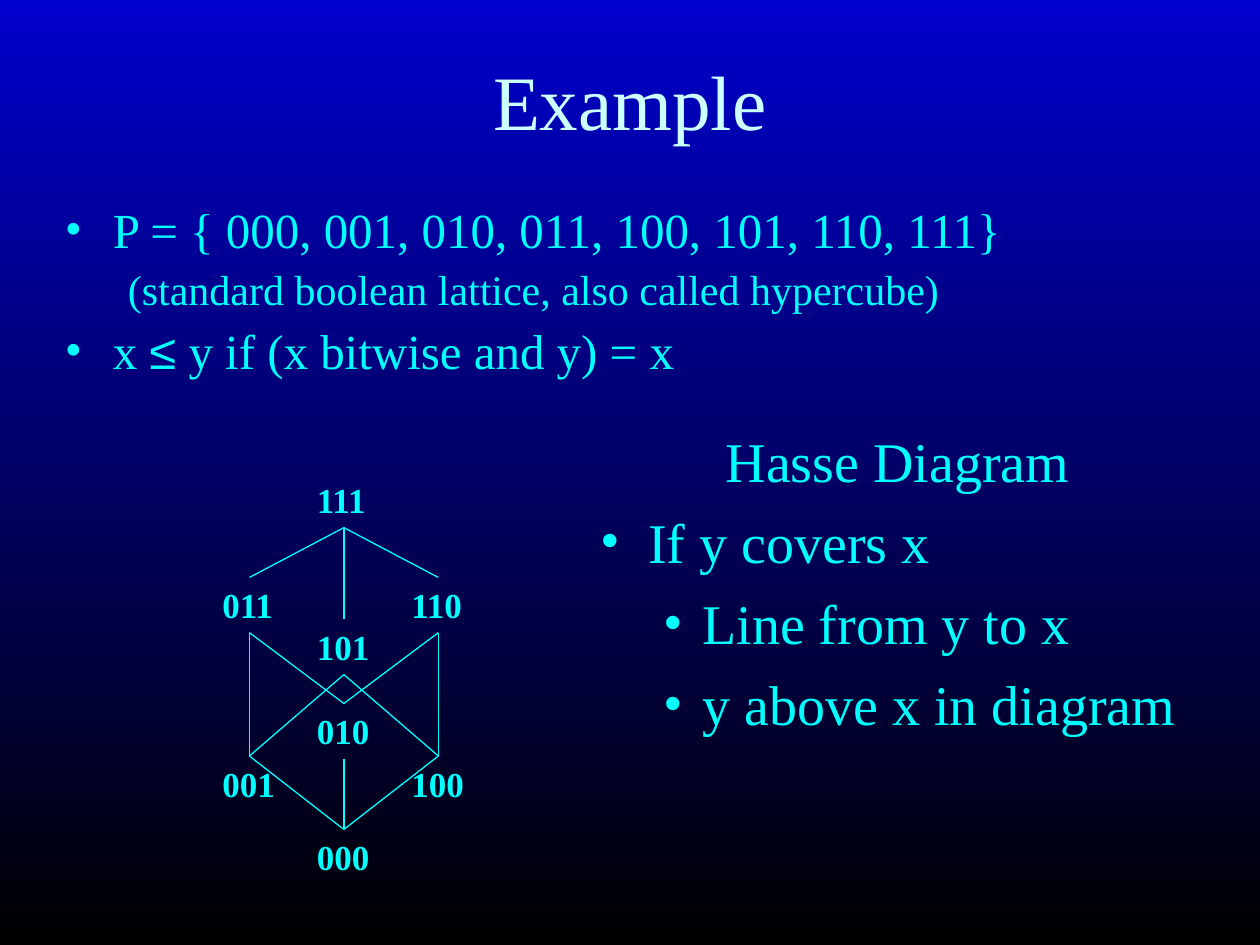
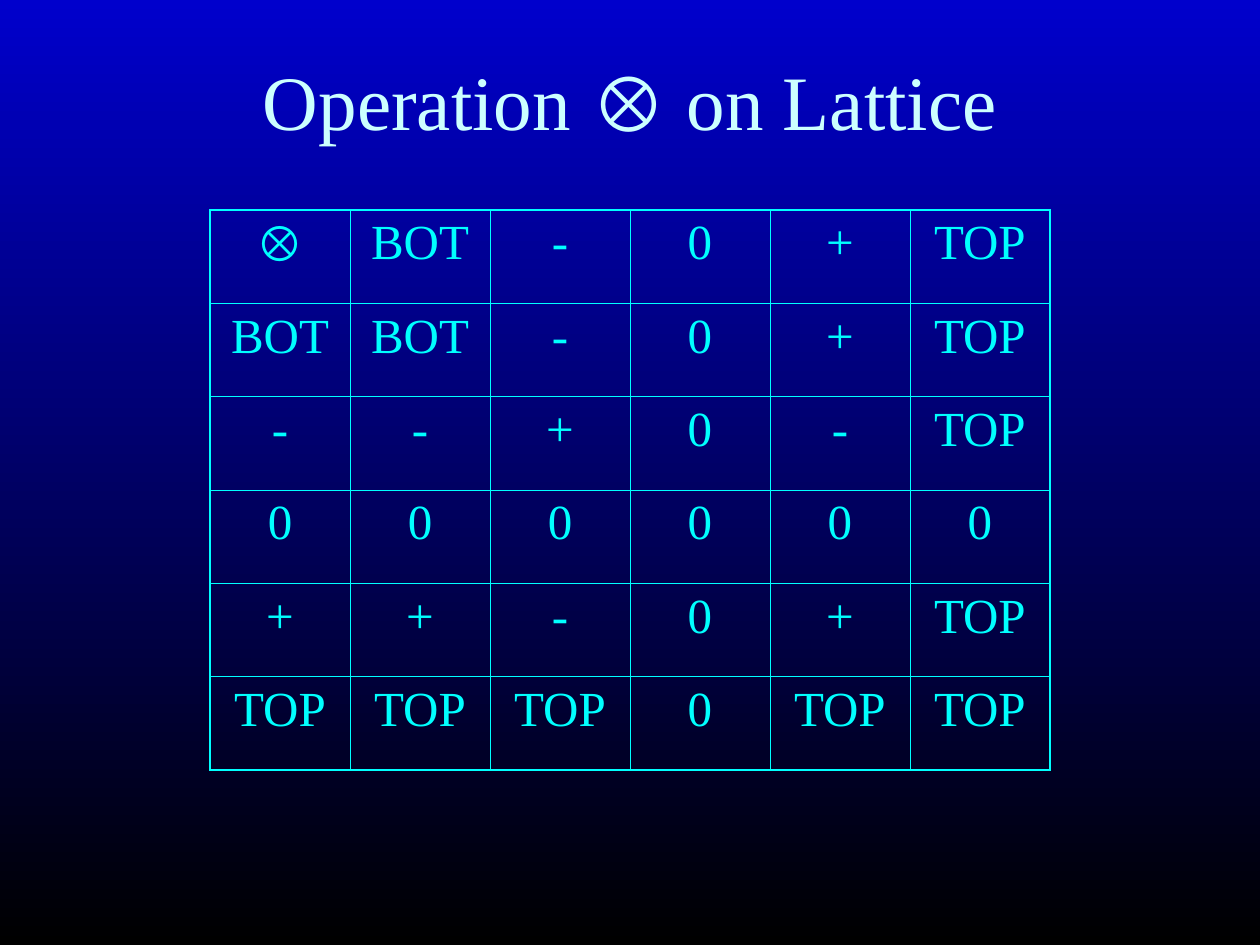
from collections import namedtuple
from itertools import groupby

from lxml import etree
from pptx import Presentation
from pptx import util as u
from pptx.dml.color import RGBColor
from pptx.enum import shapes, text
from pptx.oxml.ns import qn

SKY = RGBColor(0x00, 0x00, 0xCC)
NIGHT = RGBColor(0x00, 0x00, 0x00)
CYAN = RGBColor(0x00, 0xFF, 0xFF)
PALE = RGBColor(0xCC, 0xFF, 0xFF)
FONT, SYMBOL_FONT = "Times New Roman", "Arial"
SYMBOLS = "≤⊗"

WIDTH, HEIGHT = u.Inches(10), u.Inches(7.5)
COLUMNS, ROWS = 120, 90
COLUMN, ROW = WIDTH / COLUMNS, HEIGHT / ROWS

Box = namedtuple("Box", "left top width height")
Item = namedtuple("Item", "words size level bullet align", defaults=(0, True, None))

TITLE_BOX = Box(5, 2, 110, 15)
DEFINITION_BOX = Box(5, 19, 110, 18)
LATTICE_BOX = Box(20, 45, 25.5, 39.25)
RULES_BOX = Box(56, 40, 59, 18)
TABLE_BOX = Box(20, 20, 80, 53.33)

INDENTS = [(0.38, -0.38), (0.81, -0.31)]

DEFINITION = [
    Item("P = { 000, 001, 010, 011, 100, 101, 110, 111}", 28),
    Item("(standard boolean lattice, also called hypercube)", 24, 1, False),
    Item("x ≤ y if (x bitwise and y) = x", 28),
]
RULES = [
    Item("Hasse Diagram", 32, 0, False, text.PP_ALIGN.CENTER),
    Item("If y covers x", 32),
    Item("Line from y to x", 32, 1),
    Item("y above x in diagram", 32, 1),
]

NODE_WIDTH, NODE_HEIGHT, NODE_STEP = 7.5, 5.25, 9
NODES = {
    "111": (1, 0), "011": (0, 10), "101": (1, 14), "110": (2, 10),
    "010": (1, 22), "001": (0, 27), "100": (2, 27), "000": (1, 34),
}
TOP, BOTTOM = 0, 2
COVERS = [
    ("111", BOTTOM, ["011", "101", "110"]),
    ("011", BOTTOM, ["001", "010"]),
    ("110", BOTTOM, ["100", "010"]),
    ("101", BOTTOM, ["100", "001"]),
    ("010", BOTTOM, ["000"]),
    ("001", TOP, ["000"]),
    ("100", TOP, ["000"]),
]

OPERATION = [
    ["⊗", "BOT", "-", "0", "+", "TOP"],
    ["BOT", "BOT", "-", "0", "+", "TOP"],
    ["-", "-", "+", "0", "-", "TOP"],
    ["0", "0", "0", "0", "0", "0"],
    ["+", "+", "-", "0", "+", "TOP"],
    ["TOP", "TOP", "TOP", "0", "TOP", "TOP"],
]


def place(box):
    return (round(box.left * COLUMN), round(box.top * ROW),
            round(box.width * COLUMN), round(box.height * ROW))


def write(para, words, size, color=CYAN, bold=False):
    for is_symbol, letters in groupby(words, lambda letter: letter in SYMBOLS):
        span = para.add_run()
        span.text = "".join(letters)
        span.font.name = SYMBOL_FONT if is_symbol else FONT
        span.font.size = u.Pt(size)
        span.font.bold = bold
        span.font.color.rgb = color


def add_color(parent, tag, color):
    holder = etree.SubElement(parent, qn(tag))
    etree.SubElement(holder, qn("a:srgbClr"), val=str(color))


def set_bullet(para, level, shown):
    props = para._p.get_or_add_pPr()
    margin, hanging = INDENTS[level]
    props.set("marL", str(u.Inches(margin)))
    props.set("indent", str(u.Inches(hanging)))
    if shown:
        add_color(props, "a:buClr", CYAN)
        etree.SubElement(props, qn("a:buFont"), typeface=FONT)
        etree.SubElement(props, qn("a:buChar"), char="•")
    else:
        etree.SubElement(props, qn("a:buNone"))


def add_text(slide, box, wrap=True):
    frame = slide.shapes.add_textbox(*place(box)).text_frame
    frame.word_wrap = wrap
    return frame


def add_title(slide, box, words):
    frame = add_text(slide, box)
    frame.vertical_anchor = text.MSO_ANCHOR.MIDDLE
    para = frame.paragraphs[0]
    para.alignment = text.PP_ALIGN.CENTER
    write(para, words, 44, PALE)


def add_list(slide, box, items, line_spacing=1.0):
    frame = add_text(slide, box)
    for index, item in enumerate(items):
        para = frame.add_paragraph() if index else frame.paragraphs[0]
        para.level = item.level
        para.alignment = item.align
        para.line_spacing = line_spacing
        para.space_before = u.Pt(item.size // 4)
        set_bullet(para, item.level, item.bullet)
        write(para, item.words, item.size)


def add_node(slide, box, name):
    frame = add_text(slide, box, wrap=False)
    frame.auto_size = text.MSO_AUTO_SIZE.SHAPE_TO_FIT_TEXT
    write(frame.paragraphs[0], name, 20, bold=True)
    return slide.shapes[-1]


def add_edge(slide, upper, side, lower):
    edge = slide.shapes.add_connector(shapes.MSO_CONNECTOR.STRAIGHT, 0, 0, 0, 0)
    edge.begin_connect(upper, side)
    edge.end_connect(lower, TOP)
    edge.line.color.rgb = CYAN
    edge.line.width = u.Pt(0.75)
    etree.SubElement(edge._element.spPr, qn("a:effectLst"))


def add_lattice(slide, box):
    nodes = {}
    for name, (column, row) in NODES.items():
        node_box = Box(box.left + column * NODE_STEP, box.top + row, NODE_WIDTH, NODE_HEIGHT)
        nodes[name] = add_node(slide, node_box, name)
    for upper, side, covered in COVERS:
        for lower in covered:
            add_edge(slide, nodes[upper], side, nodes[lower])


def set_borders(cell, outer):
    props = cell._tc.get_or_add_tcPr()
    for side in "LRTB":
        weight = u.Pt(1.08 if side in outer else 0.45)
        line = etree.SubElement(props, qn(f"a:ln{side}"), w=str(weight))
        add_color(line, "a:solidFill", CYAN)
    cell.fill.background()


def add_operation_table(slide, box, values):
    rows, columns = len(values), len(values[0])
    table = slide.shapes.add_table(rows, columns, *place(box)).table
    table.first_row = table.horz_banding = False
    for r, line in enumerate(values):
        for c, value in enumerate(line):
            cell = table.cell(r, c)
            edges = {"L": c == 0, "R": c == columns - 1, "T": r == 0, "B": r == rows - 1}
            set_borders(cell, [side for side, on_edge in edges.items() if on_edge])
            para = cell.text_frame.paragraphs[0]
            para.alignment = text.PP_ALIGN.CENTER
            para.space_before = u.Pt(7)
            write(para, value, 28)


def set_background(master):
    fill = master.background.fill
    fill.gradient()
    fill.gradient_angle = 270
    for stop, color in zip(fill.gradient_stops, (SKY, NIGHT)):
        stop.color.rgb = color


def add_page(deck, title):
    page = deck.slides.add_slide(deck.slide_layouts[6])
    add_title(page, TITLE_BOX, title)
    return page


def add_example_page(deck):
    page = add_page(deck, "Example")
    add_list(page, DEFINITION_BOX, DEFINITION, 0.9)
    add_lattice(page, LATTICE_BOX)
    add_list(page, RULES_BOX, RULES)


def add_operation_page(deck):
    page = add_page(deck, "Operation ⊗ on Lattice")
    add_operation_table(page, TABLE_BOX, OPERATION)


def main():
    deck = Presentation()
    deck.slide_width, deck.slide_height = WIDTH, HEIGHT
    set_background(deck.slide_master)
    add_example_page(deck)
    add_operation_page(deck)
    deck.save("out.pptx")


if __name__ == "__main__":
    main()
